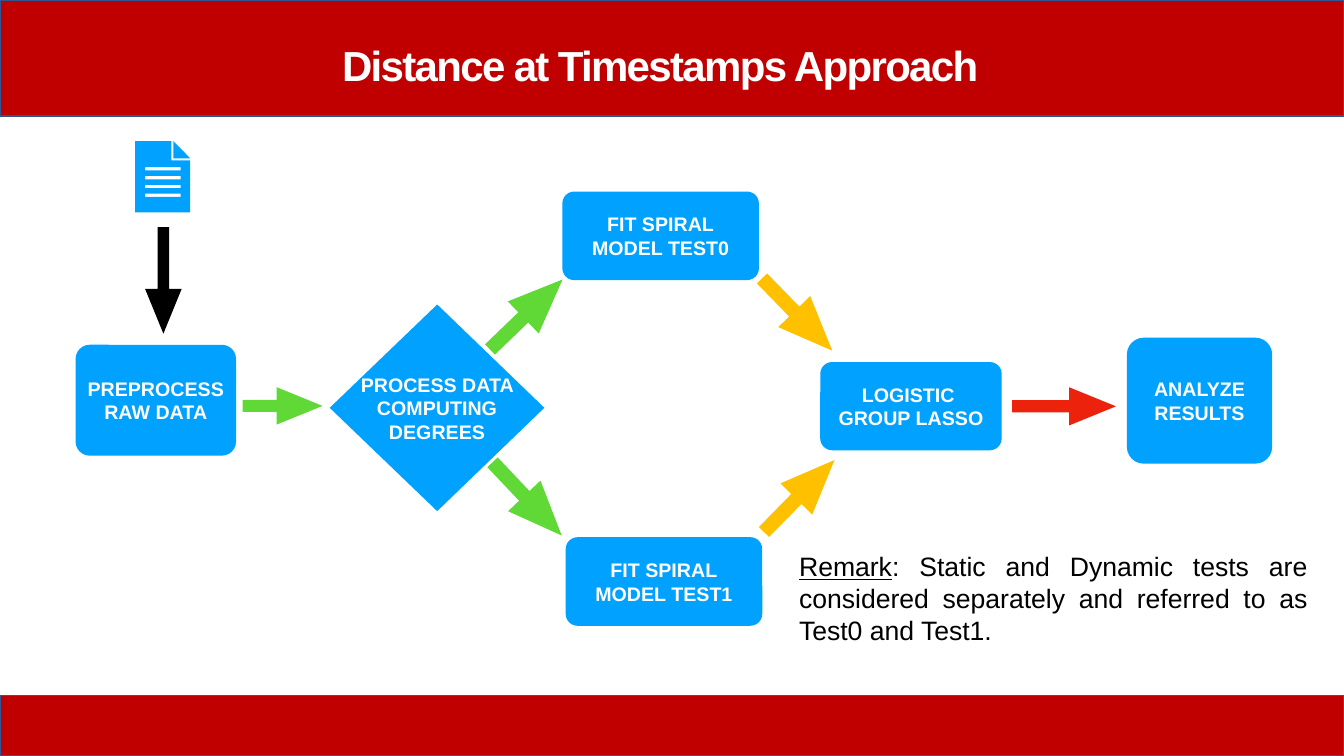
from dataclasses import dataclass

from pptx import Presentation
from pptx.dml.color import RGBColor
from pptx.enum.shapes import MSO_SHAPE
from pptx.enum.text import MSO_ANCHOR, PP_ALIGN
from pptx.shapes.autoshape import Shape
from pptx.slide import Slide
from pptx.text.text import TextFrame
from pptx.util import Inches, Pt

COLS, ROWS = 160, 90
WIDE, HIGH = Inches(13.33), Inches(7.5)
FONT = "Arial"
HEX = {
    "band": "C00000", "edge": "325491", "box": "00A1FF", "green": "60D937",
    "gold": "FFC000", "red": "ED220D", "black": "000000", "white": "FFFFFF",
}


@dataclass(frozen=True)
class Area:
    col: float
    row: float
    cols: float
    rows: float

    def place(self) -> tuple[int, int, int, int]:
        return across(self.col), down(self.row), across(self.cols), down(self.rows)


@dataclass(frozen=True)
class Step:
    text: str
    area: Area
    curve: float = 0.134


@dataclass(frozen=True)
class Arrow:
    area: Area
    color: str
    turn: float = 0


BANDS = [Area(0, 0.1, COLS, 13.7), Area(0, 82.8, COLS, 7.2)]
STEPS = [
    Step("PREPROCESS RAW DATA", Area(9, 41.05, 19.1, 13.2), 0.127),
    Step("FIT SPIRAL\nMODEL TEST0", Area(66.95, 22.8, 23.4, 10.55)),
    Step("FIT SPIRAL\nMODEL TEST1", Area(67.35, 63.95, 23.4, 10.55)),
    Step("LOGISTIC \nGROUP LASSO", Area(97.65, 43.1, 21.6, 10.5)),
    Step("ANALYZE RESULTS", Area(134.15, 40.2, 17.3, 15)),
]
ARROWS = [
    Arrow(Area(13.1, 31.2, 12.7, 4.35), "black", 90),
    Arrow(Area(28.9, 46.1, 9.5, 4.45), "green"),
    Arrow(Area(56.65, 34.8, 12, 5.3), "green", 316),
    Arrow(Area(56.75, 56.75, 12, 5.3), "green", 46.6),
    Arrow(Area(88.9, 34.8, 12, 5.3), "gold", 45.8),
    Arrow(Area(89.15, 56.4, 12, 5.3), "gold", 314.4),
    Arrow(Area(120.5, 46.1, 12.35, 4.55), "red"),
]
DIAMOND = [(39.25, 48.55), (52.05, 60.85), (64.8, 48.55), (52.05, 36.25)]
SHEET = [(16.1, 16.8), (16.1, 25.3), (22.65, 25.3), (22.65, 19.1), (20.4, 19.1), (20.4, 16.8)]
FOLD = [(20.65, 16.8), (20.65, 18.85), (22.65, 18.85)]
RULES = [
    [(17.3, top), (21.5, top), (21.5, top + 0.4), (17.3, top + 0.4)]
    for top in (19.9 + 1.05 * i for i in range(4))
]


def across(cols: float) -> int:
    return round(WIDE * cols / COLS)


def down(rows: float) -> int:
    return round(HIGH * rows / ROWS)


def paint(shape: Shape, color: str) -> None:
    shape.shadow.inherit = False
    shape.fill.solid()
    shape.fill.fore_color.rgb = RGBColor.from_string(HEX[color])
    shape.line.fill.background()


def style(frame: TextFrame, size: float, color: str, align: PP_ALIGN, bold: bool) -> None:
    frame.word_wrap = True
    for para in frame.paragraphs:
        para.alignment = align
        for run in para.runs:
            run.font.name = FONT
            run.font.size = Pt(size)
            run.font.bold = bold
            run.font.color.rgb = RGBColor.from_string(HEX[color])


def label(shape: Shape, text: str) -> None:
    frame = shape.text_frame
    frame.text = text
    frame.vertical_anchor = MSO_ANCHOR.MIDDLE
    frame.margin_left = frame.margin_right = Inches(0.03)
    frame.margin_top = frame.margin_bottom = Inches(0.03)
    style(frame, 14, "white", PP_ALIGN.CENTER, True)


def draw_band(slide: Slide, area: Area) -> None:
    band = slide.shapes.add_shape(MSO_SHAPE.RECTANGLE, *area.place())
    paint(band, "band")
    band.line.color.rgb = RGBColor.from_string(HEX["edge"])
    band.line.width = Pt(1)


def draw_step(slide: Slide, step: Step) -> None:
    box = slide.shapes.add_shape(MSO_SHAPE.ROUNDED_RECTANGLE, *step.area.place())
    box.adjustments[0] = step.curve
    paint(box, "box")
    label(box, step.text)


def draw_arrow(slide: Slide, arrow: Arrow) -> None:
    shape = slide.shapes.add_shape(MSO_SHAPE.RIGHT_ARROW, *arrow.area.place())
    shape.adjustments[0] = 0.32
    shape.adjustments[1] = 1.224
    shape.rotation = arrow.turn
    paint(shape, arrow.color)


def draw_form(slide: Slide, loops: list[list[tuple[float, float]]]) -> Shape:
    paths = [[(across(x), down(y)) for x, y in loop] for loop in loops]
    pen = slide.shapes.build_freeform(*paths[0][0])
    for i, path in enumerate(paths):
        if i:
            pen.move_to(*path[0])
        pen.add_line_segments(path[1:], close=True)
    form = pen.convert_to_shape()
    paint(form, "box")
    return form


def draw_title(slide: Slide, area: Area) -> None:
    frame = slide.shapes.add_textbox(*area.place()).text_frame
    frame.text = "Distance at Timestamps Approach"
    frame.vertical_anchor = MSO_ANCHOR.BOTTOM
    style(frame, 30, "white", PP_ALIGN.CENTER, True)
    para = frame.paragraphs[0]
    para.line_spacing = 0.9
    para.runs[0].font._element.set("spc", "-120")


def draw_remark(slide: Slide, area: Area) -> None:
    frame = slide.shapes.add_textbox(*area.place()).text_frame
    frame.text = "Remark"
    para = frame.paragraphs[0]
    para.add_run().text = (
        ": Static and Dynamic tests are considered separately"
        " and referred to as Test0 and Test1."
    )
    style(frame, 19, "black", PP_ALIGN.JUSTIFY, False)
    para.runs[0].font.underline = True


def main() -> None:
    deck = Presentation()
    deck.slide_width, deck.slide_height = WIDE, HIGH
    slide = deck.slides.add_slide(deck.slide_layouts[6])
    for area in BANDS:
        draw_band(slide, area)
    draw_form(slide, [SHEET, FOLD, *RULES])
    for step in STEPS:
        draw_step(slide, step)
    label(draw_form(slide, [DIAMOND]), "PROCESS DATA COMPUTING DEGREES")
    for arrow in ARROWS:
        draw_arrow(slide, arrow)
    draw_remark(slide, Area(93.95, 64.9, 62.9, 16.3))
    draw_title(slide, Area(31.55, 3.25, 94.1, 8.15))
    deck.save("out.pptx")


if __name__ == "__main__":
    main()
